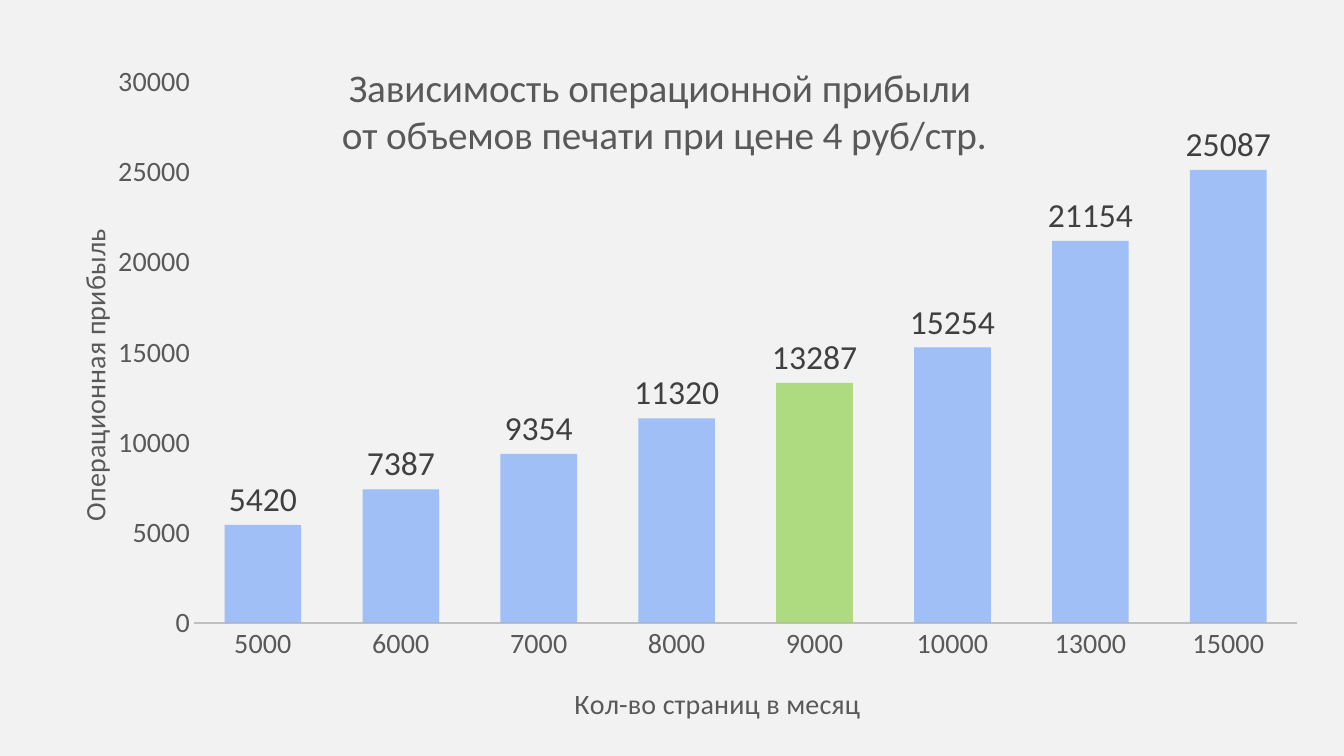
import dataclasses

import pptx
import pptx.chart.data
import pptx.dml.color
import pptx.enum.chart
import pptx.oxml
import pptx.oxml.ns
import pptx.util


@dataclasses.dataclass(frozen=True)
class Theme:
    """Colours, font and type sizes of the slide."""

    background: str = "F2F2F2"
    bar: str = "7EAAFA"
    highlight: str = "92D050"
    opacity: int = 70
    text: str = "595959"
    label: str = "404040"
    axis: str = "BFBFBF"
    font: str = "Calibri"
    title_size: int = 28
    label_size: int = 24
    axis_size: int = 20


THEME = Theme()
PROFIT_BY_PAGES = {
    "5000": 5420,
    "6000": 7387,
    "7000": 9354,
    "8000": 11320,
    "9000": 13287,
    "10000": 15254,
    "13000": 21154,
    "15000": 25087,
}
HIGHLIGHTED_PAGES = "9000"


def rgb(colour):
    """Return the colour object for a hex string."""
    return pptx.dml.color.RGBColor.from_string(colour)


def style_font(font, size, colour):
    """Apply the theme font with a size and colour."""
    font.name = THEME.font
    font.size = pptx.util.Pt(size)
    font.bold = False
    font.color.rgb = rgb(colour)


def fill_translucent(fill, colour):
    """Fill with a colour at the theme opacity."""
    fill.solid()
    fill.fore_color.rgb = rgb(colour)
    colour_element = fill._xPr.find(".//" + pptx.oxml.ns.qn("a:srgbClr"))
    alpha = pptx.oxml.parse_xml(
        f'<a:alpha {pptx.oxml.ns.nsdecls("a")} val="{THEME.opacity * 1000}"/>'
    )
    colour_element.append(alpha)


def place(element, index, inner=False, **fractions):
    """Give a chart part a manual layout in fractions of the chart."""
    modes = "".join(f'<c:{key}Mode val="edge"/>' for key in "xy")
    values = "".join(f'<c:{key} val="{value}"/>' for key, value in fractions.items())
    target = '<c:layoutTarget val="inner"/>' if inner else ""
    layout = pptx.oxml.parse_xml(
        f'<c:layout {pptx.oxml.ns.nsdecls("c")}><c:manualLayout>'
        f"{target}{modes}{values}</c:manualLayout></c:layout>"
    )
    existing = element.find(pptx.oxml.ns.qn("c:layout"))
    if existing is not None:
        element.remove(existing)
    element.insert(index, layout)


def write_title(title, lines, size, x, y):
    """Write a chart or axis title, one paragraph a line, at a position."""
    title.text_frame.text = "\n".join(lines)
    for paragraph in title.text_frame.paragraphs:
        style_font(paragraph.font, size, THEME.text)
        for run in paragraph.runs:
            style_font(run.font, size, THEME.text)
    place(title._element, 1, x=x, y=y)


def style_axis(axis, title, x, y):
    """Format the text, ticks and title that both axes share."""
    axis.major_tick_mark = pptx.enum.chart.XL_TICK_MARK.NONE
    axis.minor_tick_mark = pptx.enum.chart.XL_TICK_MARK.NONE
    style_font(axis.tick_labels.font, THEME.axis_size, THEME.text)
    write_title(axis.axis_title, [title], THEME.axis_size, x, y)


def style_bars(plot):
    """Colour the columns and show their values."""
    plot.gap_width = 80
    plot.overlap = 25
    plot.vary_by_categories = False
    series = plot.series[0]
    fill_translucent(series.format.fill, THEME.bar)
    highlighted = list(PROFIT_BY_PAGES).index(HIGHLIGHTED_PAGES)
    fill_translucent(series.points[highlighted].format.fill, THEME.highlight)
    labels = series.data_labels
    labels.show_value = True
    labels.position = pptx.enum.chart.XL_LABEL_POSITION.OUTSIDE_END
    style_font(labels.font, THEME.label_size, THEME.label)


def add_profit_chart(slide, left, top, width, height):
    """Add the operating profit column chart in the given box."""
    data = pptx.chart.data.CategoryChartData()
    data.categories = list(PROFIT_BY_PAGES)
    data.add_series("Операционная прибыль", list(PROFIT_BY_PAGES.values()))
    chart = slide.shapes.add_chart(
        pptx.enum.chart.XL_CHART_TYPE.COLUMN_CLUSTERED, left, top, width, height, data
    ).chart
    style_font(chart.font, THEME.axis_size, THEME.text)
    chart.has_legend = False
    title_lines = [
        "Зависимость операционной прибыли ",
        "от объемов печати при цене 4 руб/стр.",
    ]
    write_title(chart.chart_title, title_lines, THEME.title_size, 0.24, 0.04)
    chart.chart_title.include_in_layout = True

    pages_axis = chart.category_axis
    style_axis(pages_axis, "Кол-во страниц в месяц", 0.42, 0.91)
    pages_axis.format.line.color.rgb = rgb(THEME.axis)
    pages_axis.format.line.width = pptx.util.Pt(1.25)

    profit_axis = chart.value_axis
    style_axis(profit_axis, "Операционная прибыль", 0.03, 0.27)
    profit_axis.minimum_scale = 0
    profit_axis.maximum_scale = 30000
    profit_axis.major_unit = 5000
    profit_axis.format.line.fill.background()
    gridline = profit_axis.major_gridlines.format.line
    gridline.color.rgb = rgb(THEME.background)
    gridline.width = pptx.util.Pt(0.75)

    style_bars(chart.plots[0])
    plot_area = chart._chartSpace.find(".//" + pptx.oxml.ns.qn("c:plotArea"))
    place(plot_area, 0, inner=True, x=0.127, y=0.069, w=0.861, h=0.762)


def main():
    """Build and save the presentation."""
    presentation = pptx.Presentation()
    presentation.slide_width = pptx.util.Inches(13.33)
    presentation.slide_height = pptx.util.Inches(7.5)
    slide = presentation.slides.add_slide(presentation.slide_layouts[6])
    slide.background.fill.solid()
    slide.background.fill.fore_color.rgb = rgb(THEME.background)
    box = [pptx.util.Inches(length) for length in (0.31, 0.32, 12.71, 7.05)]
    add_profit_chart(slide, *box)
    presentation.save("out.pptx")


if __name__ == "__main__":
    main()
